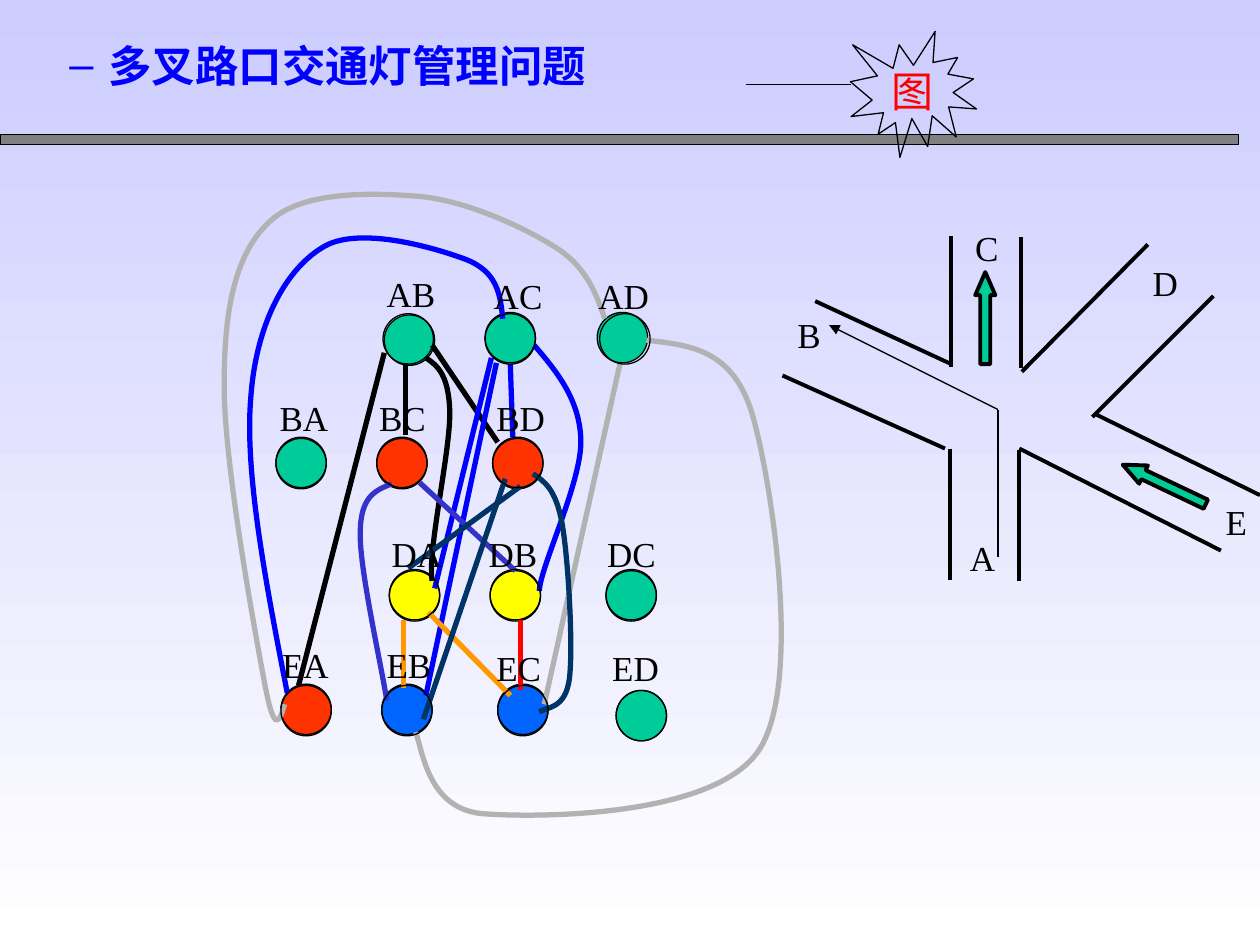
from lxml import etree
from pptx import Presentation
from pptx.dml.color import RGBColor
from pptx.enum import shapes as es, text as et
from pptx.oxml import ns
from pptx.util import Inches, Pt

FONT = "Times New Roman"
BLACK = RGBColor(0x00, 0x00, 0x00)
WHITE = RGBColor(0xFF, 0xFF, 0xFF)
LAVENDER = RGBColor(0xCC, 0xCC, 0xFF)
GRAY = RGBColor(0x80, 0x80, 0x80)
SILVER = RGBColor(0xB2, 0xB2, 0xB2)
BLUE = RGBColor(0x00, 0x00, 0xFF)
INDIGO = RGBColor(0x33, 0x33, 0xCC)
NAVY = RGBColor(0x00, 0x33, 0x66)
AZURE = RGBColor(0x00, 0x66, 0xFF)
GREEN = RGBColor(0x00, 0xCC, 0x99)
ORANGE = RGBColor(0xFF, 0x99, 0x00)
VERMILION = RGBColor(0xFF, 0x33, 0x00)
YELLOW = RGBColor(0xFF, 0xFF, 0x00)
RED = RGBColor(0xFF, 0x00, 0x00)

THIN, ROAD, EDGE = 0.75, 2.25, 3
DISC = 0.4

# Turn, disc x, y, colour, label x, y, ring offset x, y
TURNS = [
    ("AB", 3.05, 2.50, GREEN, 2.97, 2.11, -0.01, -0.01),
    ("AC", 3.85, 2.48, GREEN, 3.82, 2.13, 0, 0.01),
    ("AD", 4.74, 2.48, GREEN, 4.65, 2.13, 0.02, 0.01),
    ("BA", 2.19, 3.48, GREEN, 2.12, 3.10, 0, -0.01),
    ("BC", 2.99, 3.48, VERMILION, 2.91, 3.10, 0, -0.01),
    ("BD", 3.91, 3.48, VERMILION, 3.84, 3.10, 0, -0.01),
    ("DA", 3.09, 4.53, YELLOW, 3.01, 4.18, 0, -0.01),
    ("DB", 3.89, 4.53, YELLOW, 3.78, 4.18, 0, -0.01),
    ("DC", 4.81, 4.53, GREEN, 4.72, 4.18, 0, -0.01),
    ("EA", 2.23, 5.43, VERMILION, 2.14, 5.06, 0, 0.01),
    ("EB", 3.03, 5.43, AZURE, 2.97, 5.06, 0, 0.01),
    ("EC", 3.95, 5.43, AZURE, 3.84, 5.08, 0, 0.01),
    ("ED", 4.89, 5.48, GREEN, 4.76, 5.08, 0, 0),
]

# Conflicts of one colour; two points make a line, more make a Bezier curve
CONFLICTS = [
    (BLACK, [
        [(3.05, 2.8), (2.37, 5.44)],
        [(3.22, 2.88), (3.22, 3.45)],
        [(3.38, 2.84), (3.47, 2.9), (3.56, 2.97), (3.57, 3.26),
         (3.58, 3.56), (3.39, 4.38), (3.43, 4.61)],
        [(3.43, 2.74), (3.95, 3.51)]]),
    (BLUE, [
        [(3.99, 2.53), (3.97, 2.34), (3.95, 2.16), (3.7, 2.06),
         (3.46, 1.97), (2.83, 1.78), (2.55, 1.97),
         (2.26, 2.15), (2.03, 2.58), (1.99, 3.16),
         (1.94, 3.75), (2.11, 4.63), (2.28, 5.5)],
        [(4.05, 2.89), (4.07, 3.47)],
        [(4.24, 2.74), (4.42, 2.95), (4.6, 3.17), (4.61, 3.49),
         (4.62, 3.82), (4.29, 4.49), (4.28, 4.69)],
        [(3.9, 2.84), (3.45, 4.67)],
        [(3.94, 2.88), (3.38, 5.52)]]),
    (SILVER, [
        [(4.8, 2.53), (4.73, 2.33), (4.66, 2.13), (4.42, 1.97),
         (4.17, 1.81), (3.72, 1.6), (3.34, 1.56),
         (2.96, 1.53), (2.4, 1.51), (2.14, 1.76),
         (1.88, 2), (1.78, 2.42), (1.78, 3.03),
         (1.77, 3.64), (2.02, 4.99), (2.1, 5.42),
         (2.18, 5.85), (2.22, 5.72), (2.26, 5.59)],
        [(4.92, 2.89), (4.32, 5.59)],
        [(5.13, 2.7), (5.48, 2.74), (5.83, 2.77), (5.98, 3.32),
         (6.13, 3.86), (6.37, 5.44), (6.02, 5.96),
         (5.66, 6.48), (4.31, 6.49), (3.86, 6.46),
         (3.41, 6.44), (3.36, 5.99), (3.3, 5.81)]]),
    (INDIGO, [
        [(3.33, 3.83), (4.09, 4.53)],
        [(3.11, 3.84), (2.98, 3.89), (2.86, 3.94), (2.86, 4.23),
         (2.85, 4.51), (3.04, 5.34), (3.07, 5.56)]]),
    (ORANGE, [[(3.2, 4.92), (3.2, 5.46)], [(3.4, 4.86), (4.05, 5.52)]]),
    (RED, [[(4.13, 4.92), (4.13, 5.48)]]),
    (NAVY, [
        [(3.24, 4.51), (4.13, 3.86)],
        [(4.23, 3.76), (4.32, 3.82), (4.41, 3.88), (4.46, 4.15),
         (4.51, 4.42), (4.55, 5.13), (4.52, 5.38),
         (4.49, 5.63), (4.34, 5.61), (4.28, 5.65)],
        [(4.01, 3.8), (3.36, 5.71)]]),
]

ROAD_SIDES = [
    [(7.55, 1.87), (7.55, 2.91)], [(8.1, 1.88), (8.1, 2.92)],
    [(7.54, 3.56), (7.54, 4.6)], [(8.09, 3.57), (8.09, 4.61)],
    [(7.55, 2.89), (6.47, 2.39)], [(7.5, 3.56), (6.21, 2.98)],
    [(8.67, 3.31), (9.63, 2.35)], [(8.7, 3.29), (10, 3.93)],
    [(8.09, 3.56), (9.69, 4.37)], [(8.11, 2.95), (9.11, 1.94)],
]
ROAD_NAMES = [("C", 7.64, 1.75, 0.33), ("E", 9.63, 3.92, 0.37), ("D", 9.05, 2.03, 0.4),
              ("A", 7.6, 4.21, 0.4), ("B", 6.23, 2.44, 0.38)]


def add_line(parent, start, end, color, width, arrow=False):
    line = parent.add_connector(es.MSO_CONNECTOR.STRAIGHT, *map(Inches, start + end))
    line.line.color.rgb = color
    line.line.width = Pt(width)
    if arrow:
        etree.SubElement(line.line._get_or_add_ln(), ns.qn("a:tailEnd"), type="triangle")
    etree.SubElement(line._element.spPr, ns.qn("a:effectLst"))


def style(shape, fill, color, width):
    shape.shadow.inherit = False
    if fill is None:
        shape.fill.background()
    else:
        shape.fill.solid()
        shape.fill.fore_color.rgb = fill
    shape.line.color.rgb = color
    shape.line.width = Pt(width)


def add_curve(parent, points, color, width):
    start, *rest = [(Inches(x), Inches(y)) for x, y in points]
    builder = parent.build_freeform(*start)
    builder.add_line_segments(rest, close=False)
    curve = builder.convert_to_shape()
    style(curve, None, color, width)
    # Join every three line points into one cubic segment
    steps = list(curve._element.iter(ns.qn("a:lnTo")))
    for first in range(0, len(steps), 3):
        cubic = etree.Element(ns.qn("a:cubicBezTo"))
        steps[first].addprevious(cubic)
        for step in steps[first:first + 3]:
            cubic.append(step[0])
            step.getparent().remove(step)


def add_preset(parent, kind, x, y, w, h, fill=None, width=THIN):
    shape = parent.add_shape(kind, *map(Inches, (x, y, w, h)))
    style(shape, fill, BLACK, width)
    return shape


def write(paragraph, words, size, color):
    paragraph.text = words
    paragraph.font.name = FONT
    paragraph.font.size = Pt(size)
    paragraph.font.color.rgb = color


def add_label(parent, words, x, y, w=0.62):
    frame = parent.add_textbox(*map(Inches, (x, y, w, 0.44))).text_frame
    frame.word_wrap = False
    frame.auto_size = et.MSO_AUTO_SIZE.SHAPE_TO_FIT_TEXT
    write(frame.paragraphs[0], words, 20, BLACK)


def add_heading(slide):
    slide.shapes.title._element.getparent().remove(slide.shapes.title._element)
    heading = slide.placeholders[1]
    heading.left, heading.top, heading.width, heading.height = map(
        Inches, (-0.05, 0.34, 7.96, 0.55))
    heading.text_frame.auto_size = et.MSO_AUTO_SIZE.NONE
    line = heading.text_frame.paragraphs[0]
    line.level = 1
    props = line._p.get_or_add_pPr()
    props.set("marL", str(Inches(0.81)))
    props.set("indent", str(Inches(-0.31)))
    bullet_color = etree.SubElement(props, ns.qn("a:buClr"))
    etree.SubElement(bullet_color, ns.qn("a:srgbClr"), val=str(BLUE))
    etree.SubElement(props, ns.qn("a:buChar"), char="–")
    line.line_spacing = 0.8
    line.space_before = Pt(0)
    write(line, "多叉路口交通灯管理问题", 24.8, BLUE)
    line.font.bold = True


def add_crossroads(slide):
    roads = slide.shapes.add_group_shape().shapes
    for start, end in ROAD_SIDES:
        add_line(roads, start, end, BLACK, ROAD)
    for x, y, turn in [(7.74, 2.16, 0), (9.16, 3.48, 295.4)]:
        arrow = add_preset(roads, es.MSO_SHAPE.UP_ARROW, x, y, 0.16, 0.73, GREEN, ROAD)
        arrow.adjustments[0], arrow.adjustments[1] = 0.5, 1.146
        arrow.rotation = turn
    for name in ROAD_NAMES:
        add_label(roads, *name)


def add_conflict_graph(slide):
    for _, x, y, color, *_ in TURNS:
        add_preset(slide.shapes, es.MSO_SHAPE.OVAL, x, y, DISC, DISC, color)
    for color, edges in CONFLICTS:
        group = slide.shapes.add_group_shape().shapes if len(edges) > 1 else slide.shapes
        for points in edges:
            if len(points) == 2:
                add_line(group, *points, color, EDGE)
            else:
                add_curve(group, points, color, EDGE)
    marks = slide.shapes.add_group_shape().shapes
    for name, _, _, _, x, y, *_ in TURNS:
        add_label(marks, name, x, y)
    for _, x, y, _, _, _, dx, dy in TURNS:
        add_preset(marks, es.MSO_SHAPE.OVAL, x + dx, y + dy, DISC, DISC)


def add_callout(slide):
    callout = slide.shapes.add_group_shape().shapes
    burst = add_preset(callout, es.MSO_SHAPE.EXPLOSION1, 6.75, 0.25, 1, 1)
    burst.text_frame.word_wrap = False
    burst.text_frame.vertical_anchor = et.MSO_ANCHOR.MIDDLE
    word = burst.text_frame.paragraphs[0]
    word.alignment = et.PP_ALIGN.CENTER
    write(word, "图", 24, RED)
    add_line(callout, (5.92, 0.67), (6.75, 0.67), BLACK, THIN)


def main():
    deck = Presentation()
    deck.slide_width, deck.slide_height = Inches(10), Inches(7.5)
    slide = deck.slides.add_slide(deck.slide_layouts[1])
    # Background fades downwards
    backdrop = slide.background.fill
    backdrop.gradient()
    backdrop.gradient_angle = 270
    for stop, color in zip(backdrop.gradient_stops, (LAVENDER, WHITE)):
        stop.color.rgb = color
    # Heading and rule
    add_heading(slide)
    add_preset(slide.shapes, es.MSO_SHAPE.RECTANGLE, 0, 1.07, 9.83, 0.08, GRAY)
    # Diagrams
    add_crossroads(slide)
    add_conflict_graph(slide)
    add_callout(slide)
    # Route from A to B
    route = slide.shapes.add_group_shape().shapes
    add_line(route, (7.92, 4.42), (7.92, 3.25), BLACK, THIN)
    add_line(route, (7.92, 3.25), (6.58, 2.58), BLACK, THIN, arrow=True)
    deck.save("out.pptx")


if __name__ == "__main__":
    main()
